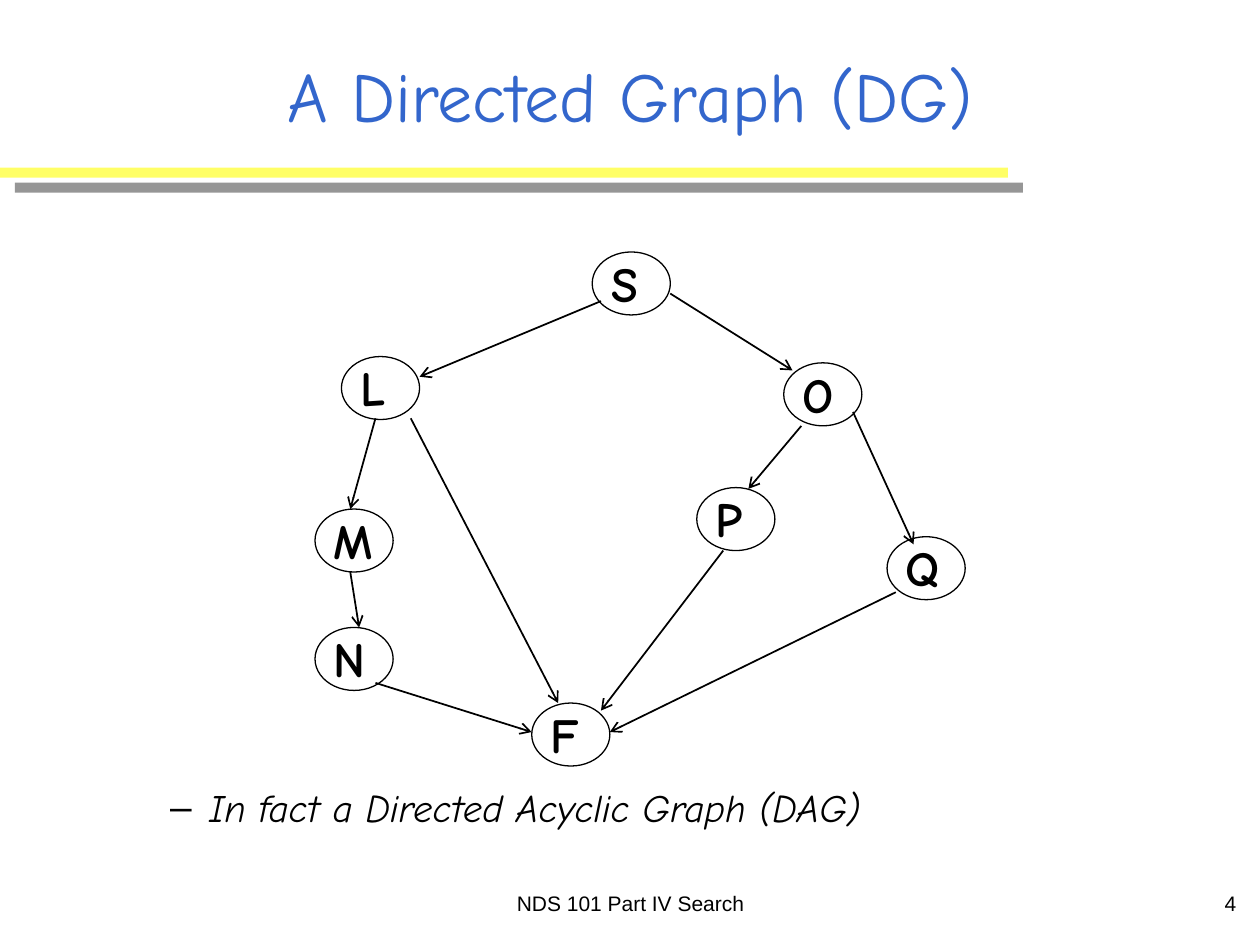
from lxml import etree
from pptx import Presentation
from pptx.dml.color import RGBColor
from pptx.enum.shapes import MSO_CONNECTOR, MSO_SHAPE
from pptx.enum.text import MSO_ANCHOR, MSO_AUTO_SIZE, PP_ALIGN
from pptx.oxml.ns import qn
from pptx.util import Inches, Pt

ELLIPSE, RECTANGLE = MSO_SHAPE.OVAL, MSO_SHAPE.RECTANGLE
STRAIGHT = MSO_CONNECTOR.STRAIGHT
TOP, MIDDLE = MSO_ANCHOR.TOP, MSO_ANCHOR.MIDDLE
LEFT, CENTER, RIGHT = PP_ALIGN.LEFT, PP_ALIGN.CENTER, PP_ALIGN.RIGHT
NO_AUTOFIT = MSO_AUTO_SIZE.NONE
HAND_FONT, PLAIN_FONT = "Comic Neue", "Arial"
BLACK, BLUE, YELLOW, GRAY = "000000", "3366CC", "FFFF66", "969696"
NODE_WIDTH, NODE_HEIGHT = 0.62, 0.5
LABEL_OFFSET, LABEL_WIDTH = 0.14, 0.41

NODES = {
    "L": (2.71, 2.83),
    "S": (4.7, 2),
    "O": (6.22, 2.88),
    "P": (5.53, 3.87),
    "Q": (7.04, 4.26),
    "F": (4.22, 5.58),
    "M": (2.5, 4.04),
    "N": (2.5, 4.98),
}
EDGES = [
    ((4.77, 2.39), (3.33, 2.99)),
    ((2.98, 3.32), (2.78, 4.04)),
    ((2.78, 4.54), (2.85, 4.98)),
    ((2.98, 5.42), (4.22, 5.81)),
    ((3.26, 3.32), (4.43, 5.58)),
    ((5.32, 2.33), (6.29, 2.94)),
    ((6.36, 3.38), (5.94, 3.88)),
    ((5.74, 4.37), (4.77, 5.64)),
    ((6.77, 3.27), (7.25, 4.32)),
    ((7.11, 4.7), (4.84, 5.81)),
]


def color(value):
    return RGBColor.from_string(value)


def place(shape, left, top, width, height):
    shape.left, shape.top = Inches(left), Inches(top)
    shape.width, shape.height = Inches(width), Inches(height)


def write(box, text, size, font, ink=BLACK, align=LEFT, anchor=TOP,
          bold=False, italic=False, insets=(0.1, 0.05)):
    frame = box.text_frame
    frame.word_wrap = True
    frame.auto_size = NO_AUTOFIT
    frame.vertical_anchor = anchor
    frame.margin_left = frame.margin_right = Inches(insets[0])
    frame.margin_top = frame.margin_bottom = Inches(insets[1])
    para = frame.paragraphs[0]
    para.alignment = align
    span = para.add_run()
    span.text = text
    span.font.name = font
    span.font.size = Pt(size)
    span.font.bold = bold
    span.font.italic = italic
    span.font.color.rgb = color(ink)
    return para


def add_text(page, position, text, size, font, **style):
    box = page.shapes.add_textbox(*map(Inches, position))
    write(box, text, size, font, **style)


def add_dash_bullet(para):
    properties = para._p.get_or_add_pPr()
    properties.set("marL", str(Inches(0.81)))
    properties.set("indent", str(Inches(-0.31)))
    bullet_color = etree.SubElement(properties, qn("a:buClr"))
    etree.SubElement(bullet_color, qn("a:srgbClr"), val=BLACK)
    etree.SubElement(properties, qn("a:buChar"), char="–")


def add_title_bar(page):
    bar = page.shapes.add_shape(
        RECTANGLE, *map(Inches, (0, 1.33, 8, 0.08)))
    bar.fill.solid()
    bar.fill.fore_color.rgb = color(YELLOW)
    bar.line.fill.background()
    bar.shadow.inherit = False
    effects = bar._element.spPr.find(qn("a:effectLst"))
    shadow = etree.SubElement(
        effects, qn("a:outerShdw"), dist=str(Pt(12.1)), dir=str(45 * 60000),
        algn="ctr", rotWithShape="0")
    etree.SubElement(shadow, qn("a:srgbClr"), val=GRAY)


def add_node(page, name, left, top):
    add_text(page, (left + LABEL_OFFSET, top, LABEL_WIDTH, NODE_HEIGHT),
             name, 28, HAND_FONT, bold=True, insets=(0.01, 0.01))
    node = page.shapes.add_shape(
        ELLIPSE, *map(Inches, (left, top, NODE_WIDTH, NODE_HEIGHT)))
    node.fill.background()
    node.line.color.rgb = color(BLACK)
    node.line.width = Pt(0.75)
    node.shadow.inherit = False


def add_edge(page, start, end):
    edge = page.shapes.add_connector(STRAIGHT, *map(Inches, start + end))
    edge.line.color.rgb = color(BLACK)
    edge.line.width = Pt(1)
    etree.SubElement(edge.line._get_or_add_ln(), qn("a:tailEnd"), type="arrow")
    etree.SubElement(edge._element.spPr, qn("a:effectLst"))


def main():
    deck = Presentation()
    deck.slide_width, deck.slide_height = Inches(10), Inches(7.5)
    page = deck.slides.add_slide(deck.slide_layouts[1])
    add_title_bar(page)

    title, body = page.shapes.title, page.placeholders[1]
    place(title, 0.75, 0.25, 8.5, 1)
    write(title, "A Directed Graph (DG)", 40, HAND_FONT,
          ink=BLUE, align=CENTER, anchor=MIDDLE)

    place(body, 0.75, 6.17, 8.5, 0.5)
    para = write(body, "In fact a Directed Acyclic Graph (DAG)", 22.2,
                 HAND_FONT, italic=True)
    para.level = 1
    para.space_before = Pt(6)
    add_dash_bullet(para)

    for name, (left, top) in NODES.items():
        add_node(page, name, left, top)
    for start, end in EDGES:
        add_edge(page, start, end)

    add_text(page, (3.42, 6.92, 3.17, 0.5), "NDS 101 Part IV Search", 12,
             PLAIN_FONT, align=CENTER, anchor=MIDDLE)
    add_text(page, (7.83, 6.92, 2.08, 0.5), "4", 12,
             PLAIN_FONT, align=RIGHT, anchor=MIDDLE)
    deck.save("out.pptx")


if __name__ == "__main__":
    main()
